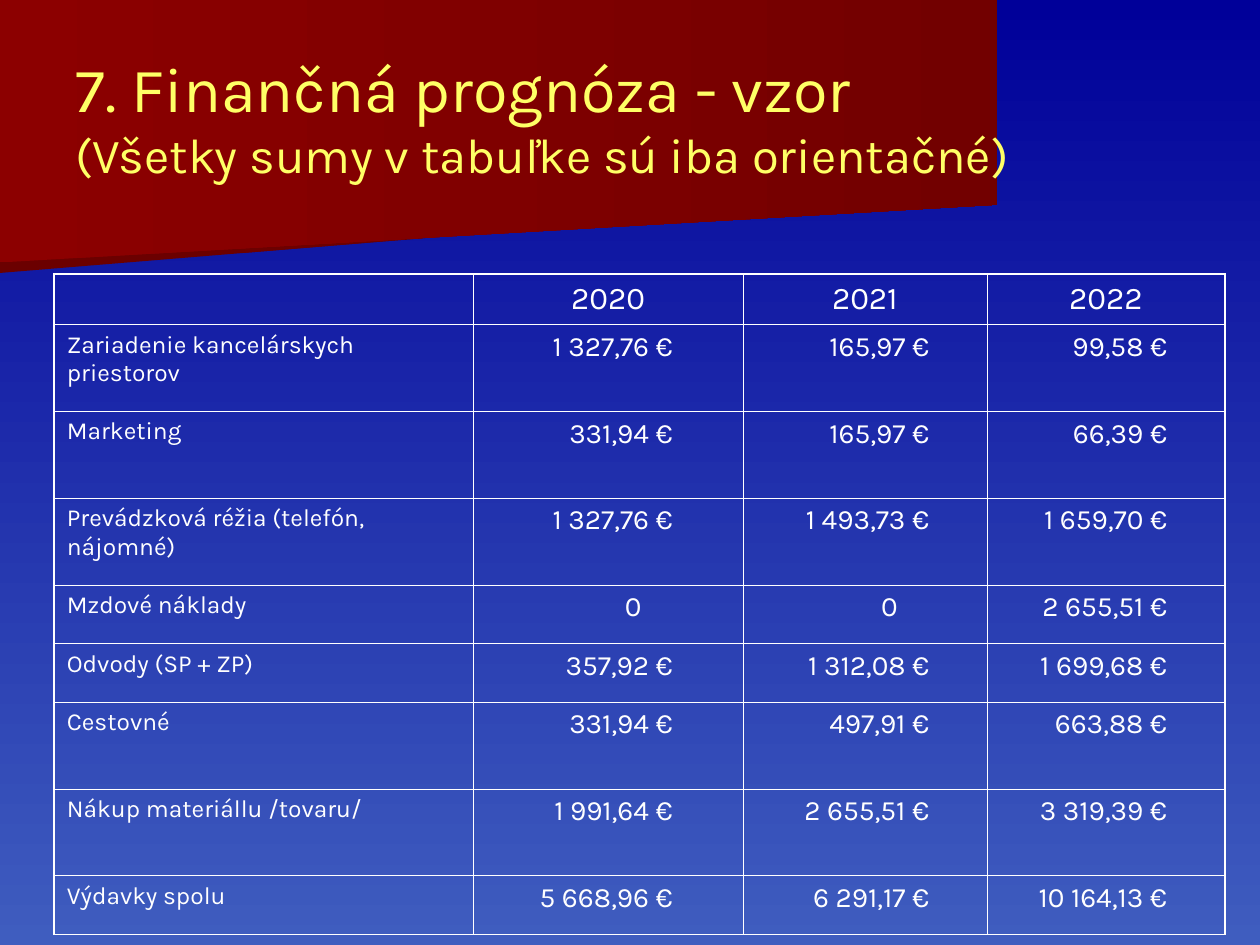
from lxml import etree
from pptx import Presentation
from pptx.dml.color import RGBColor
from pptx.enum.text import MSO_ANCHOR, MSO_AUTO_SIZE, PP_ALIGN
from pptx.oxml.ns import qn
from pptx.util import Pt

LEFT, CENTER, RIGHT = PP_ALIGN.LEFT, PP_ALIGN.CENTER, PP_ALIGN.RIGHT
MIDDLE, TOP = MSO_ANCHOR.MIDDLE, MSO_ANCHOR.TOP
NO_AUTOFIT = MSO_AUTO_SIZE.NONE
TITLE_ONLY = 5

COLORS = {
    "sky_top": "000099", "sky_bottom": "3F5DBF",
    "banner_left": "8C0000", "banner_right": "720000", "shade_left": "6B0000",
    "title": "FFFF66", "text": "FFFFFF", "border": "FFFFFF",
}

BANNER = [(0, 0), (570.24, 0), (570.24, 116.64), (0, 149.76)]
BANNER_SHADE = [(0, 72.72), (560.88, 72.72), (560.16, 110.16), (0, 156.24)]

COLUMN_WIDTHS = [239.5, 154, 139.5, 136]
VALUE_MARGINS = [40, 33, 33]  # right margin of each year's amounts
EURO_WIDTH = 18               # a bare zero stays clear of the currency sign
HEADER_HEIGHT, LOW, HIGH = 28.7, 33.5, 49.65
YEARS = ["2020", "2021", "2022"]
COSTS = [
    (HIGH, "Zariadenie kancelárskych priestorov", "1 327,76 €", "165,97 €", "99,58 €"),
    (HIGH, "Marketing", "331,94 €", "165,97 €", "66,39 €"),
    (HIGH, "Prevádzková réžia (telefón, nájomné)", "1 327,76 €", "1 493,73 €", "1 659,70 €"),
    (LOW, "Mzdové náklady", "0", "0", "2 655,51 €"),
    (LOW, "Odvody (SP + ZP)", "357,92 €", "1 312,08 €", "1 699,68 €"),
    (HIGH, "Cestovné", "331,94 €", "497,91 €", "663,88 €"),
    (HIGH, "Nákup materiállu /tovaru/", "1 991,64 €", "2 655,51 €", "3 319,39 €"),
    (LOW, "Výdavky spolu", "5 668,96 €", "6 291,17 €", "10 164,13 €"),
]


class SlideBuilder:
    """Holds the text style and the slide being filled."""

    font = "Karla"
    thin, thick = 0.45, 1.08

    def __init__(self, slide):
        self.slide = slide

    def span(self, para, text, size, color):
        span = para.add_run()
        span.text = text
        for name, value in {"name": self.font, "size": Pt(size), "bold": False}.items():
            setattr(span.font, name, value)
        span.font.color.rgb = RGBColor.from_string(COLORS[color])

    def gradient(self, fill, first, last, angle):
        fill.gradient()
        fill.gradient_angle = angle
        for stop, color in zip(fill.gradient_stops, (first, last)):
            stop.color.rgb = RGBColor.from_string(COLORS[color])

    def backdrop(self, points, first, last):
        """Draw a gradient outline behind the title."""
        builder = self.slide.shapes.build_freeform(*points[0], scale=float(Pt(1)))
        builder.add_line_segments(points[1:], close=True)
        shape = builder.convert_to_shape()
        shape.shadow.inherit = False
        shape.line.fill.background()
        self.gradient(shape.fill, first, last, 0)
        self.slide.shapes.title.element.addprevious(shape.element)

    def title(self, box, lines):
        title = self.slide.shapes.title
        for name, value in zip(("left", "top", "width", "height"), box):
            setattr(title, name, Pt(value))
        frame_format = {"vertical_anchor": MIDDLE, "word_wrap": True, "auto_size": NO_AUTOFIT}
        for name, value in frame_format.items():
            setattr(title.text_frame, name, value)
        para = title.text_frame.paragraphs[0]
        para.alignment = LEFT
        for index, (text, size) in enumerate(lines):
            if index:
                para.add_line_break()
            self.span(para, text, size, "title")

    def table(self, left, top, widths, heights):
        frame = self.slide.shapes.add_table(
            len(heights), len(widths), Pt(left), Pt(top), Pt(sum(widths)), Pt(sum(heights)))
        table = frame.table
        table.first_row = table.horz_banding = False
        for column, width in zip(table.columns, widths):
            column.width = Pt(width)
        for row, height in zip(table.rows, heights):
            row.height = Pt(height)
        for r in range(len(heights)):
            for c in range(len(widths)):
                outer = {"lnL": c == 0, "lnR": c == len(widths) - 1,
                         "lnT": r == 0, "lnB": r == len(heights) - 1}
                self.borders(table.cell(r, c), outer)
        return table

    def borders(self, cell, outer):
        properties = cell._tc.get_or_add_tcPr()
        for side, is_outer in outer.items():
            width = Pt(self.thick if is_outer else self.thin)
            line = etree.SubElement(properties, qn(f"a:{side}"), w=str(width))
            fill = etree.SubElement(line, qn("a:solidFill"))
            etree.SubElement(fill, qn("a:srgbClr"), val=COLORS["border"])
        cell.fill.background()

    def cell(self, cell, text, size, alignment, right=7.2):
        cell_format = {"margin_left": Pt(7.2), "margin_right": Pt(right),
                       "margin_top": Pt(3.6), "margin_bottom": Pt(3.6),
                       "vertical_anchor": TOP}
        for name, value in cell_format.items():
            setattr(cell, name, value)
        para = cell.text_frame.paragraphs[0]
        para.alignment = alignment
        self.span(para, text, size, "text")


def main():
    deck = Presentation()
    deck.slide_width, deck.slide_height = Pt(720), Pt(540)
    page = SlideBuilder(deck.slides.add_slide(deck.slide_layouts[TITLE_ONLY]))
    page.gradient(page.slide.background.fill, "sky_top", "sky_bottom", 270)
    page.backdrop(BANNER_SHADE, "shade_left", "banner_right")
    page.backdrop(BANNER, "banner_left", "banner_right")
    page.title((36, 21.6, 648, 90), [
        ("7. Finančná prognóza - vzor", 36),
        ("(Všetky sumy v tabuľke sú iba orientačné)", 28),
    ])

    heights = [HEADER_HEIGHT] + [cost[0] for cost in COSTS]
    table = page.table(31, 156.6, COLUMN_WIDTHS, heights)
    for c, year in enumerate(["", *YEARS]):
        page.cell(table.cell(0, c), year, 18, CENTER)
    for r, (_, label, *amounts) in enumerate(COSTS, start=1):
        page.cell(table.cell(r, 0), label, 14, LEFT)
        for c, (amount, margin) in enumerate(zip(amounts, VALUE_MARGINS), start=1):
            right = margin if amount.endswith("€") else margin + EURO_WIDTH
            page.cell(table.cell(r, c), amount, 16, RIGHT, right)

    deck.save("out.pptx")


if __name__ == "__main__":
    main()
